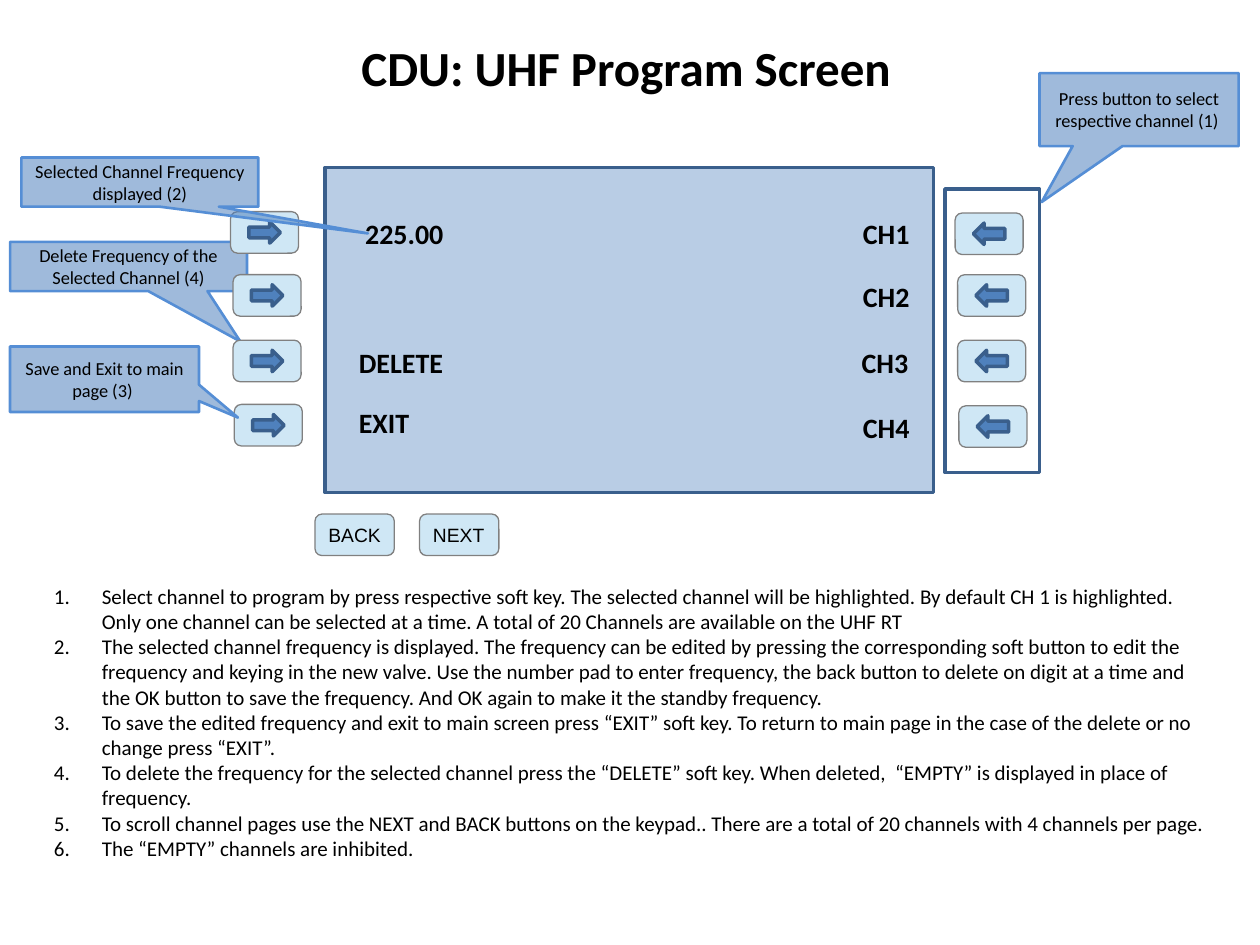
from typing import NamedTuple

from lxml.etree import SubElement
from pptx import Presentation
from pptx.dml.color import RGBColor
from pptx.enum.shapes import MSO_SHAPE as Kind
from pptx.enum.text import MSO_ANCHOR, PP_ALIGN
from pptx.oxml.ns import qn
from pptx.util import Inches, Pt


class Box(NamedTuple):
    x: float
    y: float
    w: float
    h: float


class Note(NamedTuple):
    box: Box
    tip: tuple[float, float]
    text: str


class Label(NamedTuple):
    x: float
    y: float
    w: float
    text: str


NAVY, STEEL, KEY = "3A5F8C", "4F81BD", "CFE7F5"
KEY_W, KEY_H = 0.54, 0.33
ARROW_W, ARROW_H = 0.25, 0.17

# Callouts: the delete note lies behind the keys, the others in front
BACK_NOTE = Note(Box(0.08, 1.92, 1.88, 0.39), (0.472, 1.525),
                 "Delete Frequency of the Selected Channel (4)")
FRONT_NOTES = [
    Note(Box(8.25, 0.58, 1.58, 0.58), (-0.489, 1.265),
         "Press button to select respective channel (1) "),
    Note(Box(0.17, 1.25, 1.88, 0.39), (0.963, 1.044),
         "Selected Channel Frequency displayed (2)"),
    Note(Box(0.08, 2.75, 1.5, 0.52), (0.706, 0.585),
         "Save and Exit to main page (3) "),
]

# Soft keys: left and top of each
LEFT_KEYS = [(1.83, 1.68), (1.85, 2.18), (1.85, 2.7), (1.86, 3.21)]
RIGHT_KEYS = [(7.58, 1.69), (7.6, 2.18), (7.6, 2.7), (7.61, 3.22)]

LABELS = [
    Label(2.75, 1.67, 0.88, " 225.00"),
    Label(2.75, 2.69, 0.88, "DELETE"),
    Label(2.75, 3.17, 0.61, "EXIT"),
    Label(6.75, 1.67, 0.58, "CH1"),
    Label(6.75, 2.17, 0.58, "CH2"),
    Label(6.74, 2.69, 0.58, "CH3"),
    Label(6.75, 3.21, 0.58, "CH4"),
]

STEPS = [
    "Select channel to program by press respective soft key. The selected "
    "channel will be highlighted. By default CH 1 is highlighted. Only one "
    "channel can be selected at a time. A total of 20 Channels are available "
    "on the UHF RT",
    "The selected channel frequency is displayed. The frequency can be edited "
    "by pressing the corresponding soft button to edit the frequency and "
    "keying in the new valve. Use the number pad to enter frequency, the back "
    "button to delete on digit at a time and the OK button to save the "
    "frequency. And OK again to make it the standby frequency.",
    "To save the edited frequency and exit to main screen press “EXIT” soft "
    "key. To return to main page in the case of the delete or no change press "
    "“EXIT”.",
    "To delete the frequency for the selected channel press the “DELETE” soft "
    "key. When deleted,  “EMPTY” is displayed in place of frequency.",
    "To scroll channel pages use the NEXT and BACK buttons on the keypad.. "
    "There are a total of 20 channels with 4 channels per page.",
    "The “EMPTY” channels are inhibited.",
]

deck = Presentation()
deck.slide_width, deck.slide_height = Inches(10), Inches(7.5)
slide = deck.slides.add_slide(deck.slide_layouts[6])


def apply(item, form: dict) -> None:
    for name, value in form.items():
        setattr(item, name, value)


def tint(color, code: str) -> None:
    color.rgb = RGBColor.from_string(code)


def place(box: Box) -> list[int]:
    return [Inches(n) for n in box]


def draw(kind, box: Box, fill: str, line: str, width: float, turn: float = 0):
    shape = slide.shapes.add_shape(kind, *place(box))
    shape.shadow.inherit = False
    shape.rotation = turn
    shape.fill.solid()
    tint(shape.fill.fore_color, fill)
    tint(shape.line.color, line)
    shape.line.width = Pt(width)
    return shape


def write(para, text: str, size: float, face: str = "Calibri",
          bold: bool = False, align=PP_ALIGN.LEFT) -> None:
    para.alignment = align
    run = para.add_run()
    run.text = text
    apply(run.font, {"size": Pt(size), "name": face, "bold": bold})
    tint(run.font.color, "000000")


def draw_text(box: Box, text: str, size: float) -> None:
    frame = slide.shapes.add_textbox(*place(box)).text_frame
    frame.word_wrap = False
    write(frame.paragraphs[0], text, size, bold=True)


def draw_note(note: Note) -> None:
    shape = draw(Kind.RECTANGULAR_CALLOUT, note.box, STEEL, "558ED5", 1.5)
    for i, value in enumerate(note.tip):
        shape.adjustments[i] = value
    color = shape.fill._xPr.find(qn("a:solidFill"))[0]
    SubElement(color, qn("a:alpha"), val="54000")
    frame = shape.text_frame
    apply(frame, {"word_wrap": True, "vertical_anchor": MSO_ANCHOR.MIDDLE,
                  "margin_left": Inches(0.09), "margin_right": Inches(0.09),
                  "margin_top": Inches(0.05), "margin_bottom": Inches(0.05)})
    write(frame.paragraphs[0], note.text, 10.5, align=PP_ALIGN.CENTER)


def draw_key(box: Box, turn: float = 0):
    shape = draw(Kind.ROUNDED_RECTANGLE, box, KEY, "808080", 0, turn)
    shape.adjustments[0] = 0.17
    return shape


def draw_soft(x: float, y: float, turn: float) -> None:
    draw_key(Box(x, y, KEY_W, KEY_H), turn)
    mark = Box(x + (KEY_W - ARROW_W) / 2, y + (KEY_H - ARROW_H) / 2,
               ARROW_W, ARROW_H)
    draw(Kind.RIGHT_ARROW, mark, STEEL, NAVY, 2, turn)


def draw_page(x: float, text: str) -> None:
    frame = draw_key(Box(x, 4.08, 0.63, KEY_H)).text_frame
    apply(frame, {"word_wrap": False, "vertical_anchor": MSO_ANCHOR.MIDDLE,
                  "margin_left": Inches(0.09), "margin_right": Inches(0.09),
                  "margin_top": Inches(0.04), "margin_bottom": Inches(0.04)})
    write(frame.paragraphs[0], text, 11, "Arial")


def draw_steps(box: Box, steps: list[str]) -> None:
    frame = slide.shapes.add_textbox(*place(box)).text_frame
    frame.word_wrap = True
    for i, step in enumerate(steps):
        para = frame.add_paragraph() if i else frame.paragraphs[0]
        write(para, step, 12)
        props = para._p.get_or_add_pPr()
        props.set("marL", str(Inches(0.38)))
        props.set("indent", str(-Inches(0.38)))
        SubElement(props, qn("a:buFont"), typeface="+mj-lt")
        SubElement(props, qn("a:buAutoNum"), type="arabicPeriod")


# Display, key frame and title
draw_note(BACK_NOTE)
draw(Kind.RECTANGLE, Box(7.5, 1.5, 0.75, 2.25), "FFFFFF", NAVY, 2)
draw_text(Box(2.77, 0.25, 4.45, 0.57), "CDU: UHF Program Screen", 28)
draw(Kind.RECTANGLE, Box(2.58, 1.33, 4.83, 2.58), "B9CDE5", NAVY, 2)

# Soft keys on both sides
for keys, turn in ((LEFT_KEYS, 0), (RIGHT_KEYS, 180)):
    for x, y in keys:
        draw_soft(x, y, turn)

# Screen labels and front callouts
for label in LABELS:
    draw_text(Box(label.x, label.y, label.w, 0.37), label.text, 16)
for note in FRONT_NOTES:
    draw_note(note)

# Steps and page keys
draw_steps(Box(0.33, 4.58, 9.39, 2.32), STEPS)
for x, text in ((2.5, "BACK"), (3.33, "NEXT")):
    draw_page(x, text)

deck.save("out.pptx")
